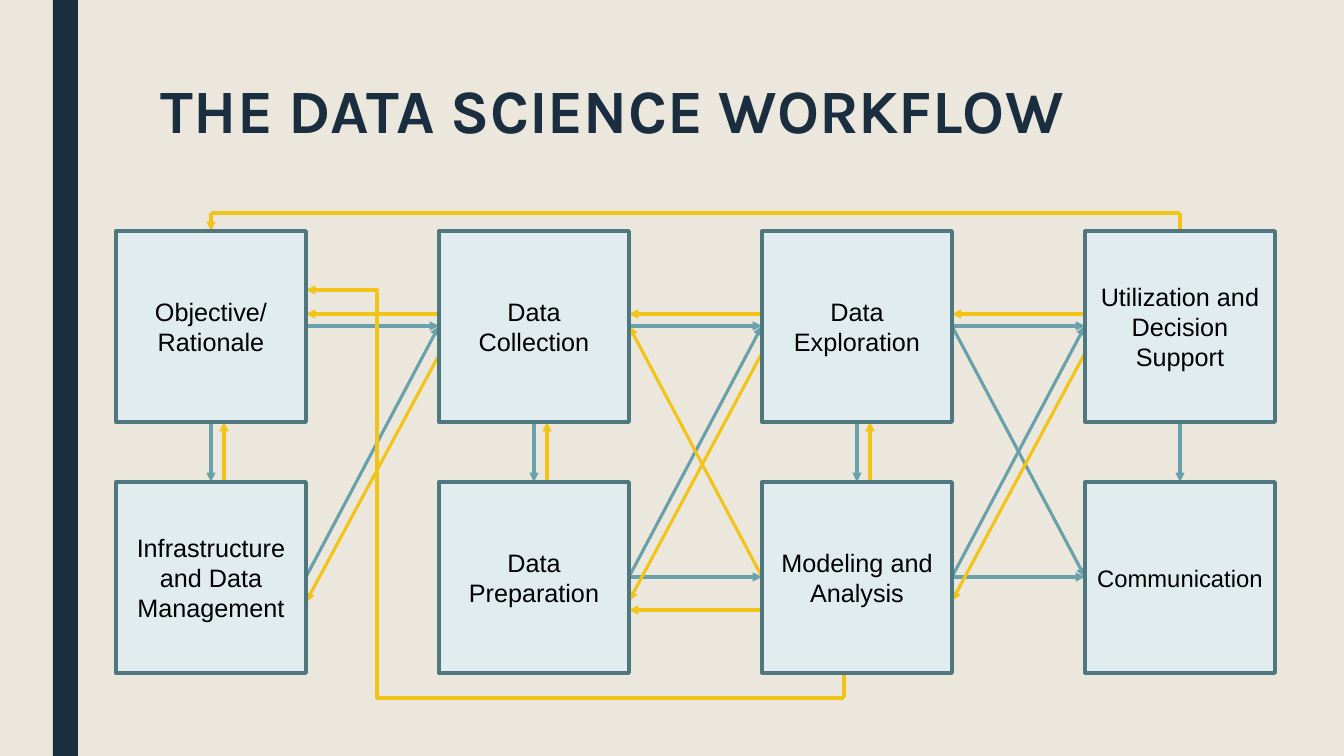
from pptx import Presentation
from pptx.dml.color import RGBColor
from pptx.enum.shapes import MSO_CONNECTOR, MSO_SHAPE
from pptx.enum.text import MSO_ANCHOR, PP_ALIGN
from pptx.oxml.ns import qn
from pptx.util import Emu, Pt
from lxml import etree

RECT = MSO_SHAPE.RECTANGLE
STRAIGHT, ELBOW = MSO_CONNECTOR.STRAIGHT, MSO_CONNECTOR.ELBOW
TOP, MIDDLE = MSO_ANCHOR.TOP, MSO_ANCHOR.MIDDLE
CENTER = PP_ALIGN.CENTER

EMU_PER_PX = 914400 / 100.8
COLORS = {"paper": "EBE7DD", "navy": "1A2E40", "forward": "69A1AB", "back": "F2C418",
          "box": "E1ECEE", "edge": "4E777F", "text": "000000"}

# Grid of step boxes, in px
LEFT, COLUMN_PITCH, BOX_WIDTH = 116, 323, 190
TOP_ROW, ROW_PITCH, BOX_HEIGHT = 231, 251, 191
BOTTOM_ROW = TOP_ROW + ROW_PITCH
UPPER = TOP_ROW + BOX_HEIGHT // 2
LOWER = UPPER + ROW_PITCH
LOOP_Y = 213


def column_left(column):
    return LEFT + column * COLUMN_PITCH


def column_right(column):
    return column_left(column) + BOX_WIDTH


def column_middle(column):
    return column_left(column) + BOX_WIDTH // 2


def px(length):
    return Emu(round(length * EMU_PER_PX))


def rgb(name):
    return RGBColor.from_string(COLORS[name])


class Diagram:
    def __init__(self, page):
        self.page = page
        page.background.fill.solid()
        page.background.fill.fore_color.rgb = rgb("paper")

    def rectangle(self, left, top, width, height, fill, edge=None):
        box = self.page.shapes.add_shape(RECT, px(left), px(top), px(width), px(height))
        box.shadow.inherit = False
        box.fill.solid()
        box.fill.fore_color.rgb = rgb(fill)
        if edge:
            box.line.color.rgb = rgb(edge)
            box.line.width = Pt(2.75)
        else:
            box.line.fill.background()
        return box

    def title(self, left, top, width, height, text):
        box = self.page.shapes.add_textbox(px(left), px(top), px(width), px(height))
        frame = box.text_frame
        frame.word_wrap = True
        frame.vertical_anchor = TOP
        para = frame.paragraphs[0]
        para.text = text
        para.line_spacing = 0.89
        self.font(para, "Karla", 44, "navy", bold=True)

    def step(self, column, top, lines, size=18):
        box = self.rectangle(column_left(column), top, BOX_WIDTH, BOX_HEIGHT, "box", "edge")
        frame = box.text_frame
        frame.word_wrap = True
        frame.vertical_anchor = MIDDLE
        frame.text = lines
        for para in frame.paragraphs:
            para.alignment = CENTER
            self.font(para, "Arial", size, "text")

    def font(self, para, name, size, color, bold=False):
        para.font.name = name
        para.font.size = Pt(size)
        para.font.bold = bold
        para.font.color.rgb = rgb(color)

    def line(self, start, end, color, arrow=True, bend=None):
        kind = STRAIGHT if bend is None else ELBOW
        link = self.page.shapes.add_connector(kind, *map(px, start + end))
        link.line.color.rgb = rgb(color)
        link.line.width = Pt(2.25)
        properties = link._element.spPr
        if arrow:
            etree.SubElement(link.line._get_or_add_ln(), qn("a:tailEnd"), type="triangle")
        if bend is not None:
            guides = properties.find(qn("a:prstGeom")).find(qn("a:avLst"))
            etree.SubElement(guides, qn("a:gd"), name="adj1", fmla=f"val {bend}")
        etree.SubElement(properties, qn("a:effectLst"))


def main():
    deck = Presentation()
    deck.slide_width, deck.slide_height = px(1344), px(756)
    diagram = Diagram(deck.slides.add_slide(deck.slide_layouts[6]))

    # Side bar and heading
    diagram.rectangle(53, 0, 25, 756, "navy")
    diagram.title(151, 76, 1058, 163, "THE DATA SCIENCE WORKFLOW")

    # Links between the two rows
    row_gap = TOP_ROW + BOX_HEIGHT, BOTTOM_ROW
    for column in range(4):
        x = column_middle(column)
        diagram.line((x, row_gap[0]), (x, row_gap[1]), "forward")
        if column < 3:
            diagram.line((x + 13, row_gap[1]), (x + 13, row_gap[0]), "back")

    # Links between columns: gap, start height, end height, direction
    links = [
        (0, UPPER, UPPER, "forward"), (0, LOWER, UPPER, "forward"),
        (1, UPPER, UPPER, "forward"), (1, LOWER, UPPER, "forward"),
        (1, LOWER, LOWER, "forward"), (2, UPPER, UPPER, "forward"),
        (2, UPPER, LOWER, "forward"), (2, LOWER, LOWER, "forward"),
        (1, LOWER, UPPER, "back"), (0, 314, 314, "back"),
        (0, 355, 602, "back"), (1, 610, 610, "back"),
        (1, 314, 314, "back"), (1, 353, 601, "back"),
        (2, 314, 314, "back"), (2, 353, 601, "back"),
        (2, LOWER, UPPER, "forward"),
    ]
    for gap, start_y, end_y, direction in links:
        ends = [column_right(gap), column_left(gap + 1)]
        if direction == "back":
            ends.reverse()
        diagram.line((ends[0], start_y), (ends[1], end_y), direction)

    # Long feedback loops to the objective
    diagram.line((844, 698), (column_right(0), 290), "back", bend=86800)
    diagram.line((844, 698), (844, BOTTOM_ROW + BOX_HEIGHT), "back", arrow=False)
    first, last = column_middle(0), column_middle(3)
    diagram.line((last, TOP_ROW), (last, LOOP_Y), "back", arrow=False)
    diagram.line((last, LOOP_Y), (first, LOOP_Y), "back", arrow=False)
    diagram.line((first, LOOP_Y), (first, TOP_ROW), "back")

    # Step boxes: upper and lower text of each column
    steps = [
        ("Objective/\nRationale", "Infrastructure and Data Management"),
        ("Data\vCollection", "Data Preparation"),
        ("Data Exploration", "Modeling and Analysis"),
        ("Utilization and Decision Support", "Communication"),
    ]
    for column, (upper, lower) in enumerate(steps):
        diagram.step(column, TOP_ROW, upper)
        diagram.step(column, BOTTOM_ROW, lower, 17 if lower == "Communication" else 18)

    deck.save("out.pptx")


if __name__ == "__main__":
    main()
